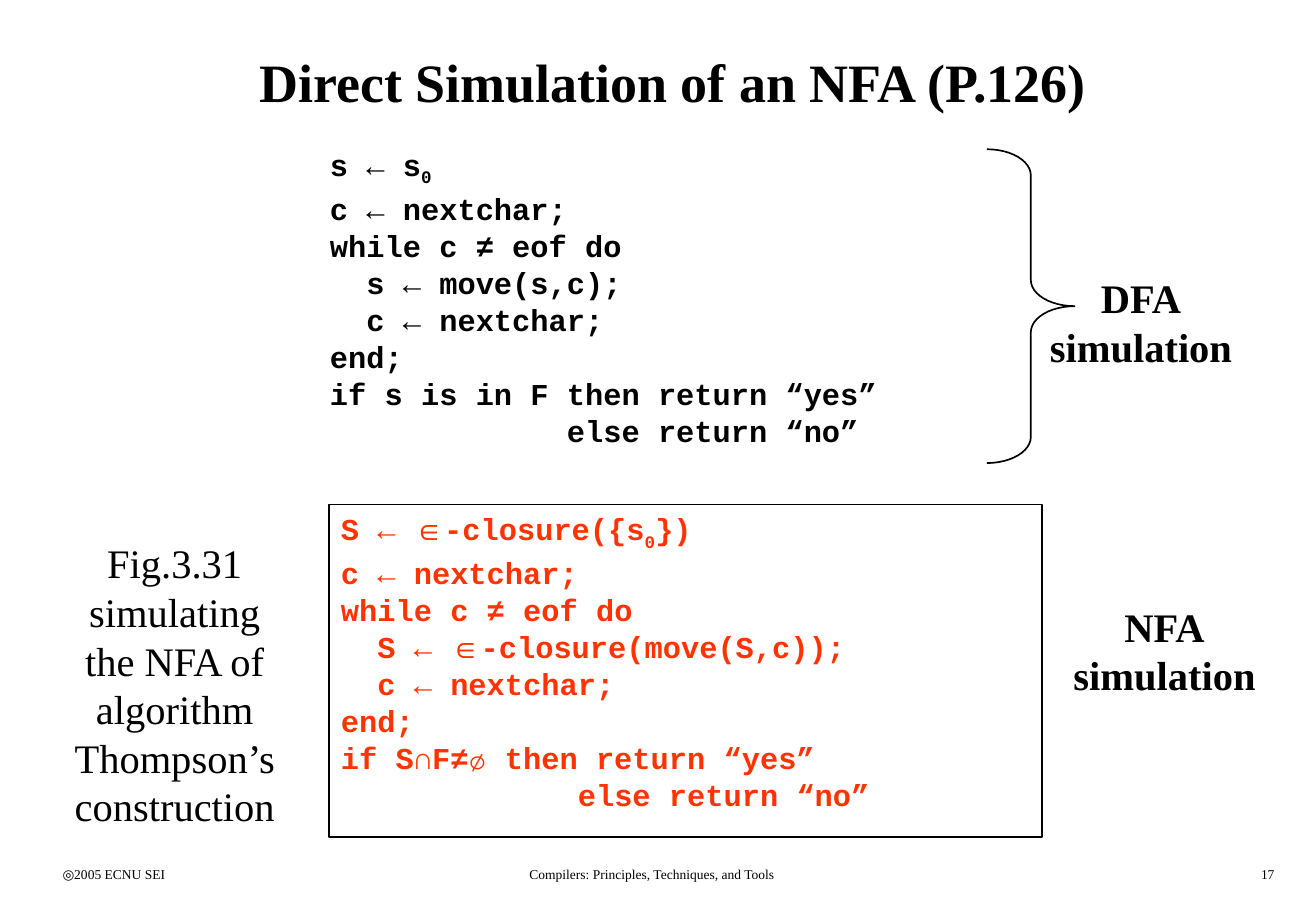
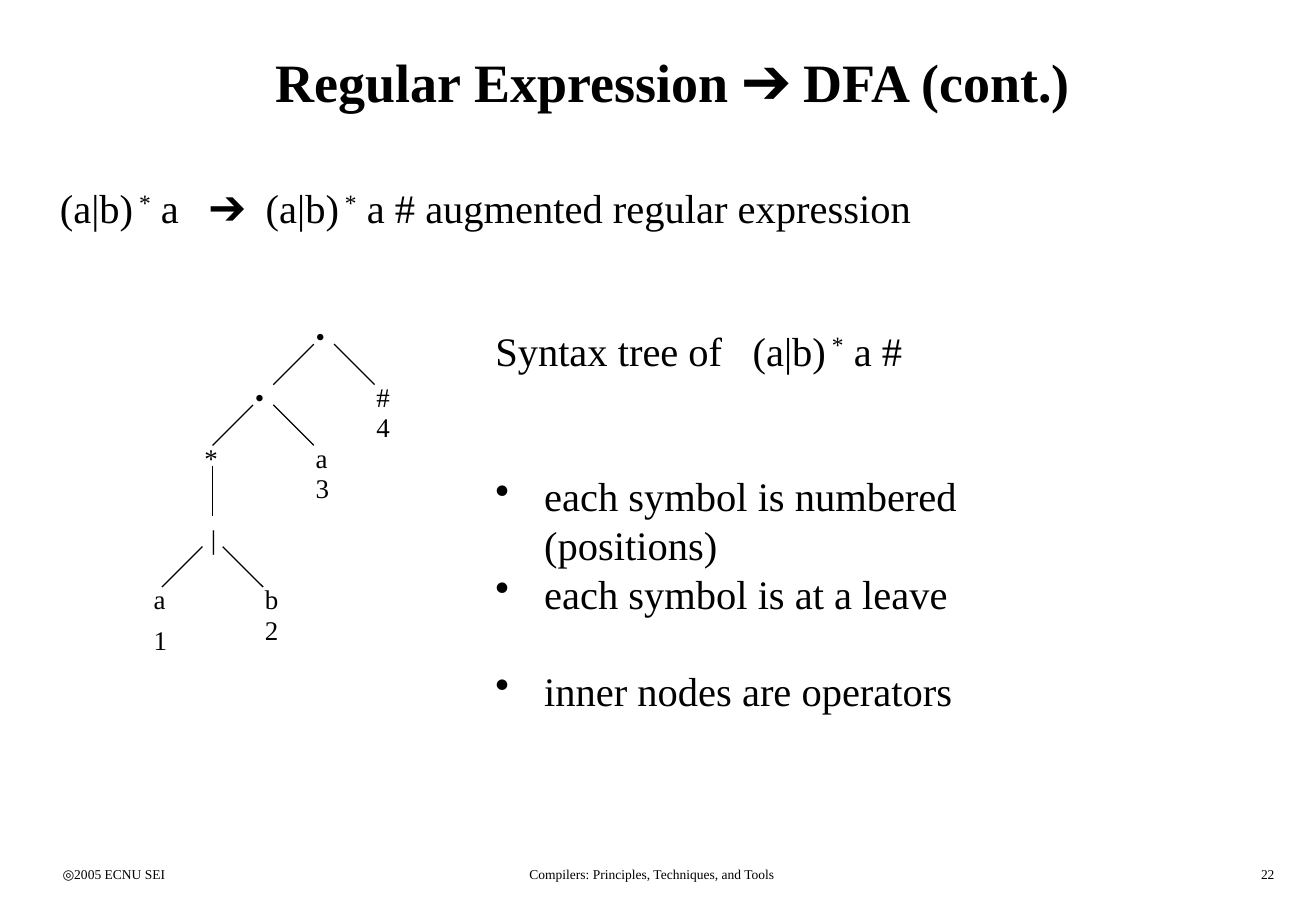
from dataclasses import dataclass
from typing import Any, NamedTuple, Optional

import pptx
import pptx.dml.color
import pptx.enum.shapes
import pptx.enum.text
import pptx.oxml.ns
import pptx.util
from lxml import etree

Pt = pptx.util.Pt
Align = pptx.enum.text.PP_ALIGN
Anchor = pptx.enum.text.MSO_ANCHOR
Shapes = pptx.enum.shapes.MSO_SHAPE


@dataclass(frozen=True)
class Theme:
    black: str = "000000"
    red: str = "FF3300"
    serif: str = "Times New Roman"
    mono: str = "Courier New"
    title: float = 32
    body: float = 24
    code: float = 18
    node: float = 16
    footer: float = 8
    outline: float = 1
    branch: float = 0.75


THEME = Theme()


class Box(NamedTuple):
    left: float
    top: float
    width: float
    height: float

    def lengths(self) -> tuple:
        return tuple(Pt(value) for value in self)


class Style(NamedTuple):
    size: float
    bold: bool = False
    font: str = THEME.serif
    color: str = THEME.black
    align: Any = Align.LEFT


class Run(NamedTuple):
    text: str
    baseline: int = 0
    font: Optional[str] = None


class Node(NamedTuple):
    """A tree label; column and row count grid steps."""
    text: str
    column: float
    row: float


class Branch(NamedTuple):
    from_column: float
    from_row: float
    to_column: float
    to_row: float


TITLE = Style(THEME.title, bold=True, align=Align.CENTER)
BODY = Style(THEME.body)
CAPTION = Style(THEME.body, align=Align.CENTER)
LABEL = Style(THEME.body, bold=True, align=Align.CENTER)
NODE = Style(THEME.node)
CODE = Style(THEME.code, bold=True, font=THEME.mono)
RED_CODE = CODE._replace(color=THEME.red)

TITLE_BOX = Box(30, 12, 738, 72)
FOOTER_TOP, FOOTER_HEIGHT = 510, 18
BULLET_INDENT = 29
GRID = 6

STAR = Run(" *", 30)
ELEMENT = Run("∈", font=THEME.serif)
ZERO = Run("0", -25)

DFA_CODE = [
    [Run("s ← s"), ZERO],
    [Run("c ← nextchar;")],
    [Run("while c ≠ eof do")],
    [Run("  s ← move(s,c);")],
    [Run("  c ← nextchar;")],
    [Run("end;")],
    [Run("if s is in F then return “yes”")],
    [Run("             else return “no”")],
]
NFA_CODE = [
    [Run("S ← "), ELEMENT, Run("-closure({s"), ZERO, Run("})")],
    [Run("c ← nextchar;")],
    [Run("while c ≠ eof do")],
    [Run("  S ← "), ELEMENT, Run("-closure(move(S,c));")],
    [Run("  c ← nextchar;")],
    [Run("end;")],
    [Run("if S∩F≠∅ then return “yes”")],
    [Run("             else return “no”")],
]

BRANCHES = [
    Branch(31, 34, 27, 38), Branch(33, 34, 37, 38),
    Branch(25, 40, 21, 44), Branch(27, 40, 31, 44),
    Branch(21, 46, 21, 51),
    Branch(20, 54, 16, 58), Branch(22, 54, 26, 58),
]
NODES = [
    Node("•", 30, 31), Node("•", 24, 37), Node("*", 19, 43),
    Node(" |", 19, 51), Node("#", 36, 37), Node("4", 36, 40),
    Node("a", 30, 43), Node("3", 30, 46), Node("a", 14, 57),
    Node("1", 14, 61), Node("b", 25, 57), Node("2", 25, 60),
]


def rgb(color: str) -> pptx.dml.color.RGBColor:
    return pptx.dml.color.RGBColor.from_string(color)


def format_paragraph(paragraph: Any, style: Style) -> None:
    paragraph.alignment = style.align
    font = paragraph.font
    font.name, font.size, font.bold = style.font, Pt(style.size), style.bold
    font.color.rgb = rgb(style.color)


def add_runs(paragraph: Any, runs: list[Run]) -> None:
    for part in runs:
        run = paragraph.add_run()
        run.text = part.text
        if part.font:
            run.font.name = part.font
        if part.baseline:
            run.font._element.set("baseline", str(part.baseline * 1000))


def write(shape: Any, lines: list[list[Run]], style: Style) -> list:
    """Fill a shape with one paragraph per line and return the paragraphs."""
    frame = shape.text_frame
    paragraphs = [frame.paragraphs[0]]
    paragraphs += [frame.add_paragraph() for _ in lines[1:]]
    for paragraph, runs in zip(paragraphs, lines):
        add_runs(paragraph, runs)
        format_paragraph(paragraph, style)
    return paragraphs


def add_text(slide: Any, box: Box, lines: list[list[Run]], style: Style,
             anchor: Any = Anchor.TOP) -> list:
    shape = slide.shapes.add_textbox(*box.lengths())
    shape.text_frame.word_wrap = True
    shape.text_frame.vertical_anchor = anchor
    return write(shape, lines, style)


def add_outline(slide: Any, kind: Any, box: Box) -> Any:
    shape = slide.shapes.add_shape(kind, *box.lengths())
    shape.shadow.inherit = False
    shape.fill.background()
    shape.line.color.rgb = rgb(THEME.black)
    shape.line.width = Pt(THEME.outline)
    return shape


def space_code(paragraphs: list) -> None:
    for paragraph in paragraphs[1:]:
        paragraph.line_spacing = 0.6
        paragraph.space_before = Pt(9)


def add_bullet(paragraph: Any) -> None:
    properties = paragraph._p.get_or_add_pPr()
    properties.set("marL", str(Pt(BULLET_INDENT)))
    properties.set("indent", str(-Pt(BULLET_INDENT)))
    bullet = etree.Element(pptx.oxml.ns.qn("a:buChar"), char="•")
    definition = properties.find(pptx.oxml.ns.qn("a:defRPr"))
    if definition is None:
        properties.append(bullet)
    else:
        definition.addprevious(bullet)


def add_branch(slide: Any, branch: Branch) -> None:
    line = slide.shapes.add_connector(
        pptx.enum.shapes.MSO_CONNECTOR.STRAIGHT,
        *(Pt(step * GRID) for step in branch))
    line.line.color.rgb = rgb(THEME.black)
    line.line.width = Pt(THEME.branch)
    etree.SubElement(line._element.spPr, pptx.oxml.ns.qn("a:effectLst"))


def add_slide(presentation: Any, title: str, number: int) -> Any:
    """Add a slide with its title and the shared footer."""
    slide = presentation.slides.add_slide(presentation.slide_layouts[5])
    shape = slide.shapes.title
    shape.left, shape.top, shape.width, shape.height = TITLE_BOX.lengths()
    shape.text_frame.vertical_anchor = Anchor.MIDDLE
    write(shape, [[Run(title)]], TITLE)
    for text, left, width, align in (
            ("◎2005 ECNU SEI", 30, 163, Align.LEFT),
            ("Compilers: Principles, Techniques, and Tools", 240.5, 292,
             Align.CENTER),
            (str(number), 600, 162.5, Align.RIGHT)):
        add_text(slide, Box(left, FOOTER_TOP, width, FOOTER_HEIGHT),
                 [[Run(text)]], Style(THEME.footer, align=align))
    return slide


def build_simulation(presentation: Any) -> None:
    slide = add_slide(presentation, "Direct Simulation of an NFA (P.126)", 17)
    space_code(add_text(slide, Box(188.5, 83, 422.5, 196), DFA_CODE, CODE))

    frame = add_outline(slide, Shapes.RECTANGLE, Box(195, 299, 422.5, 197))
    frame.text_frame.word_wrap = True
    frame.text_frame.vertical_anchor = Anchor.TOP
    space_code(write(frame, NFA_CODE, RED_CODE))

    brace = add_outline(slide, Shapes.RIGHT_BRACE, Box(585, 88.5, 52, 186))
    brace.adjustments[0] = 0.298
    brace.adjustments[1] = 0.5

    for name, left, top in (("DFA", 615, 158.5), ("NFA", 629, 353)):
        add_text(slide, Box(left, top, 122.5, 65),
                 [[Run(name)], [Run("simulation")]], LABEL)
    caption = "Fig.3.31 simulating the NFA of algorithm Thompson’s construction"
    add_text(slide, Box(32.5, 298, 142, 215), [[Run(caption)]], CAPTION,
             Anchor.MIDDLE)


def build_syntax_tree(presentation: Any) -> None:
    slide = add_slide(presentation, "Regular Expression ➔ DFA (cont.)", 22)
    add_text(slide, Box(28.5, 105, 596, 36),
             [[Run("(a|b)"), STAR, Run(" a   ➔  (a|b)"), STAR,
               Run(" a # augmented regular expression")]], BODY)

    for branch in BRANCHES:
        add_branch(slide, branch)
    for node in NODES:
        add_text(slide, Box(node.column * GRID, node.row * GRID, 22, 26.5),
                 [[Run(node.text)]], NODE)

    heading, *bullets = add_text(
        slide, Box(286.5, 189.5, 388, 237.5),
        [[Run("Syntax tree of   (a|b)"), STAR, Run(" a #")],
         [Run("each symbol is numbered (positions)")],
         [Run("each symbol is at a leave")],
         [Run("inner nodes are operators")]], BODY)
    heading.space_after = Pt(57.6)
    bullets[-1].space_before = Pt(28.8)
    for paragraph in bullets:
        add_bullet(paragraph)


def main() -> None:
    presentation = pptx.Presentation()
    presentation.slide_width, presentation.slide_height = Pt(780), Pt(540)
    build_simulation(presentation)
    build_syntax_tree(presentation)
    presentation.save("out.pptx")


if __name__ == "__main__":
    main()
